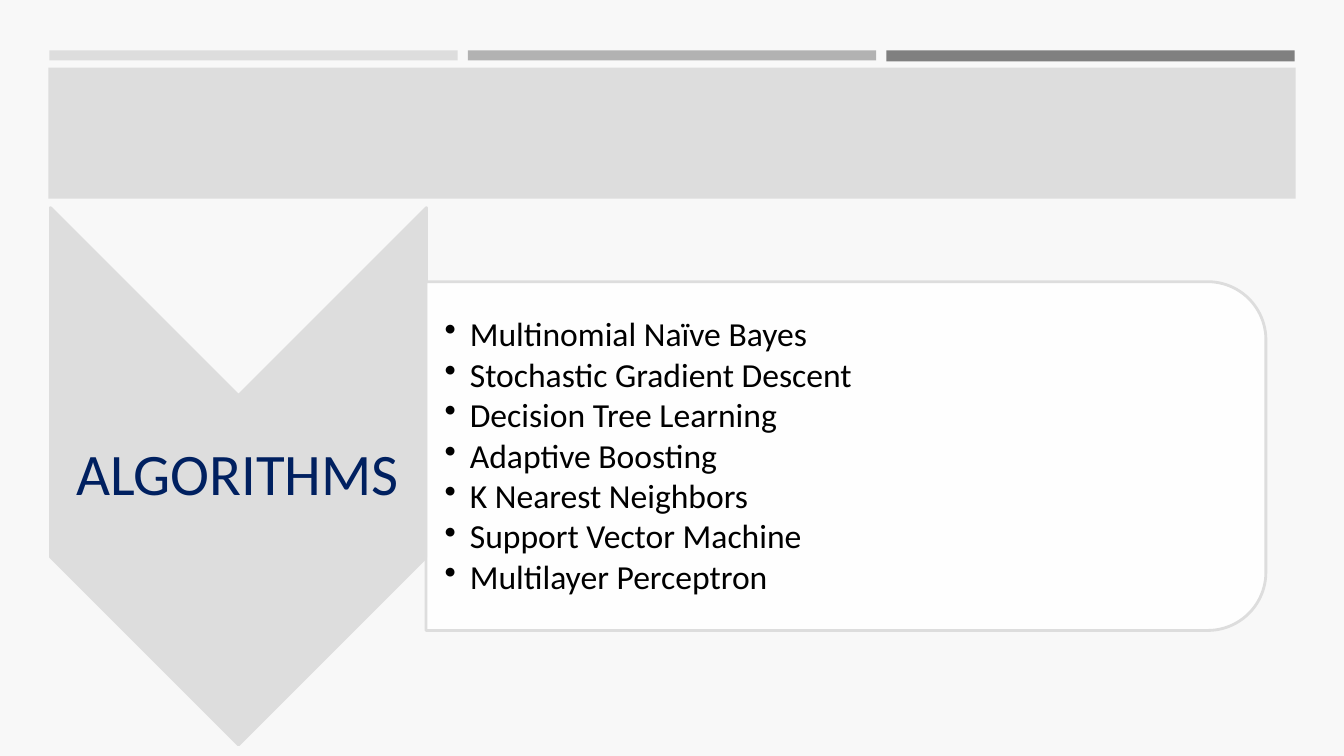
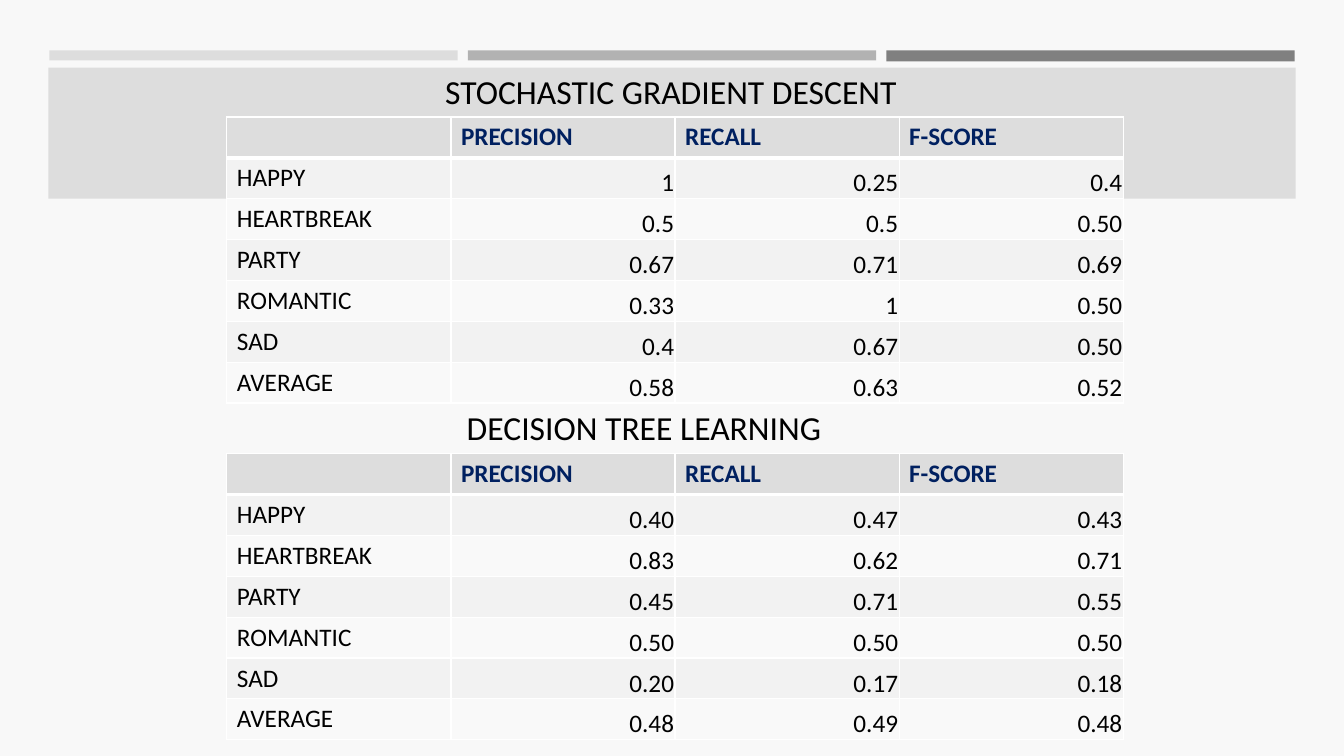
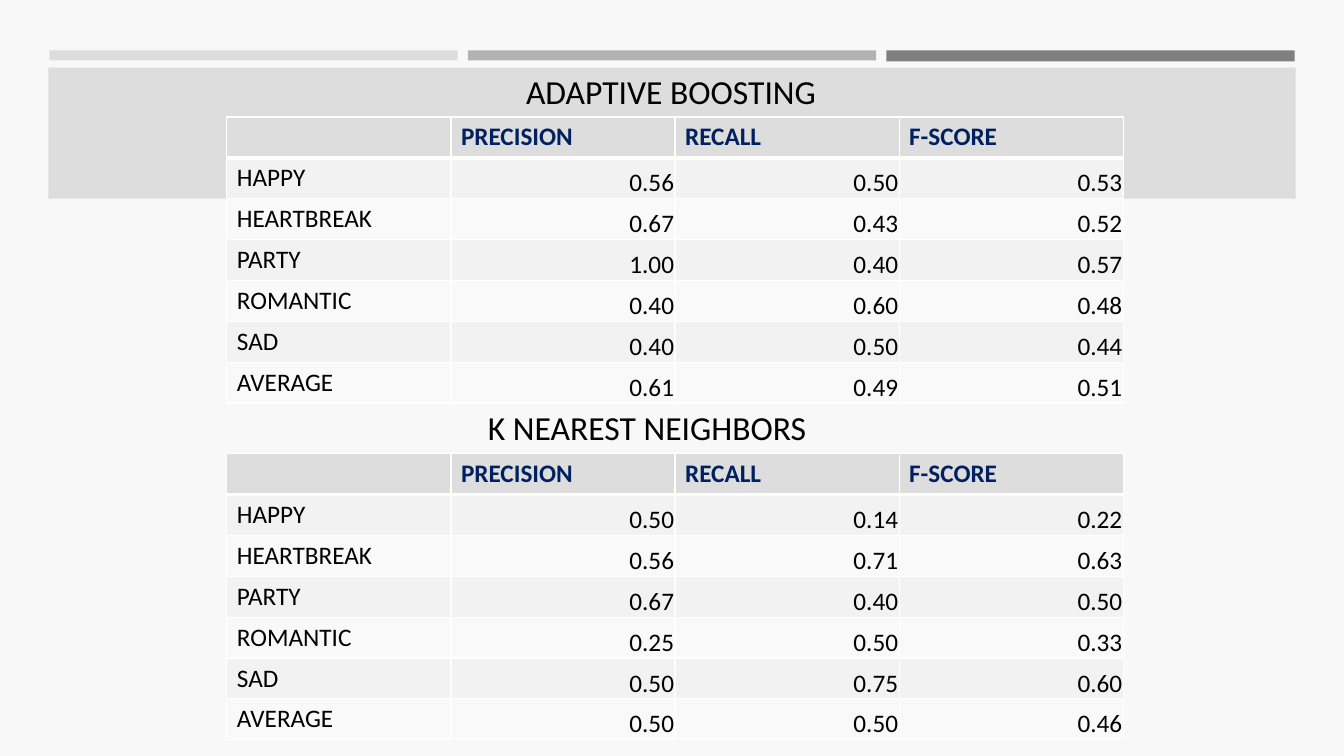
from lxml import etree
from pptx import Presentation
from pptx import util as u
from pptx.dml.color import RGBColor
from pptx.enum import shapes, text
from pptx.oxml import parse_xml
from pptx.oxml.ns import nsdecls, qn

COLORS = {
    "background": "F8F8F8", "light": "DDDDDD", "middle": "B2B2B2", "dark": "808080",
    "navy": "002060", "black": "000000", "white": "FFFFFF", "odd": "F2F2F2", "even": "F9F9F9",
}
FONT = "Calibri"
BANDS = [
    ("light", 0.49, 0.5, 4.05, 0.1),
    ("middle", 4.64, 0.5, 4.05, 0.1),
    ("dark", 8.79, 0.5, 4.05, 0.11),
    ("light", 0.48, 0.67, 12.37, 1.3),
]
ALGORITHMS = [
    "Multinomial Naïve Bayes", "Stochastic Gradient Descent", "Decision Tree Learning",
    "Adaptive Boosting", "K Nearest Neighbors", "Support Vector Machine",
    "Multilayer Perceptron",
]
HEADER = ["", "PRECISION", "RECALL", "F-SCORE"]
MOODS = ["HAPPY", "HEARTBREAK", "PARTY", "ROMANTIC", "SAD", "AVERAGE"]
RESULTS = [
    [
        ("STOCHASTIC GRADIENT DESCENT", 3.9, [
            ("1", "0.25", "0.4"), ("0.5", "0.5", "0.50"), ("0.67", "0.71", "0.69"),
            ("0.33", "1", "0.50"), ("0.4", "0.67", "0.50"), ("0.58", "0.63", "0.52")]),
        ("DECISION TREE LEARNING", 4.53, [
            ("0.40", "0.47", "0.43"), ("0.83", "0.62", "0.71"), ("0.45", "0.71", "0.55"),
            ("0.50", "0.50", "0.50"), ("0.20", "0.17", "0.18"), ("0.48", "0.49", "0.48")]),
    ],
    [
        ("ADAPTIVE BOOSTING", 3.9, [
            ("0.56", "0.50", "0.53"), ("0.67", "0.43", "0.52"), ("1.00", "0.40", "0.57"),
            ("0.40", "0.60", "0.48"), ("0.40", "0.50", "0.44"), ("0.61", "0.49", "0.51")]),
        ("K NEAREST NEIGHBORS", 4.74, [
            ("0.50", "0.14", "0.22"), ("0.56", "0.71", "0.63"), ("0.67", "0.40", "0.50"),
            ("0.25", "0.50", "0.33"), ("0.50", "0.75", "0.60"), ("0.50", "0.50", "0.46")]),
    ],
]
TABLE_LEFT, TABLE_TOPS = 2.25, (1.16, 4.5)
TABLE_WIDTH, TABLE_HEIGHT = 8.89, 2.84


def rgb(name):
    return RGBColor.from_string(COLORS[name])


def inches(*lengths):
    return [u.Inches(length) for length in lengths]


def set_all(target, values):
    for name, value in values.items():
        setattr(target, name, value)


def write(paragraph, words, size, color="black", bold=False, **layout):
    paragraph.text = words
    set_all(paragraph, layout)
    set_all(paragraph.font, {"name": FONT, "size": u.Pt(size), "bold": bold})
    paragraph.font.color.rgb = rgb(color)


def set_frame(frame, anchor, insets=(0.1, 0.05, 0.1, 0.05)):
    sides = ("margin_left", "margin_top", "margin_right", "margin_bottom")
    set_all(frame, dict(zip(sides, inches(*insets))))
    set_all(frame, {"word_wrap": True, "vertical_anchor": anchor,
                    "auto_size": text.MSO_AUTO_SIZE.NONE})


def add_filled(slide, kind, box, fill, line=None, rotation=0):
    shape = slide.shapes.add_shape(kind, *inches(*box))
    shape.shadow.inherit = False
    shape.rotation = rotation
    shape.fill.solid()
    shape.fill.fore_color.rgb = rgb(fill)
    if line:
        shape.line.color.rgb = rgb(line)
        shape.line.width = u.Pt(2)
    else:
        shape.line.fill.background()
    return shape


def place_title(slide, words, box, size, color, anchor, insets, **layout):
    title = slide.shapes.title
    set_all(title, dict(zip(("left", "top", "width", "height"), inches(*box))))
    set_frame(title.text_frame, anchor, insets)
    write(title.text_frame.paragraphs[0], words, size, color,
          alignment=text.PP_ALIGN.CENTER, **layout)
    slide.shapes.element.append(title.element)


def add_bands(slide, layout):
    for number, (color, *box) in enumerate(BANDS, 20):
        band = add_filled(slide, shapes.MSO_SHAPE.RECTANGLE, box, color)
        band.name = f"Band {number}"
        band.element.nvSpPr.cNvPr.set("id", str(number))
        layout.shapes.element.append(band.element)


def add_bullet(paragraph):
    properties = paragraph._p.get_or_add_pPr()
    properties.set("marL", str(u.Inches(0.25)))
    properties.set("indent", str(u.Inches(-0.25)))
    etree.SubElement(properties, qn("a:buChar")).set("char", "•")


def build_algorithms(slide):
    add_filled(slide, shapes.MSO_SHAPE.CHEVRON, (-0.3, 2.86, 5.33, 3.73),
               "light", "light", 90)
    place_title(slide, "ALGORITHMS", (0.49, 3.93, 3.73, 1.6), 42, "navy",
                text.MSO_ANCHOR.MIDDLE, (0.03,) * 4, line_spacing=0.9)
    panel = add_filled(slide, shapes.MSO_SHAPE.ROUND_2_SAME_RECTANGLE,
                       (6.66, 0.36, 3.46, 8.33), "white", "light", 90)
    white = panel.element.spPr.find(qn("a:solidFill"))[0]
    etree.SubElement(white, qn("a:alpha")).set("val", "90000")
    frame = slide.shapes.add_textbox(*inches(4.22, 2.97, 8.16, 3.13)).text_frame
    set_frame(frame, text.MSO_ANCHOR.MIDDLE, (0.19, 0.02, 0.02, 0.02))
    for index, algorithm in enumerate(ALGORITHMS):
        paragraph = frame.add_paragraph() if index else frame.paragraphs[0]
        write(paragraph, algorithm, 24, line_spacing=0.9, space_after=u.Pt(3))
        add_bullet(paragraph)


def style_cell(cell, fill, widths):
    properties = cell._tc.get_or_add_tcPr()
    for side, width in zip("LRTB", widths):
        properties.append(parse_xml(
            f'<a:ln{side} {nsdecls("a")} w="{u.Pt(width)}"><a:solidFill>'
            f'<a:srgbClr val="{COLORS["white"]}"/></a:solidFill></a:ln{side}>'))
    cell.fill.solid()
    cell.fill.fore_color.rgb = rgb(fill)


def add_scores(slide, top, scores):
    rows = [HEADER] + [(mood, *values) for mood, values in zip(MOODS, scores)]
    table = slide.shapes.add_table(
        len(rows), len(HEADER),
        *inches(TABLE_LEFT, top, TABLE_WIDTH, TABLE_HEIGHT)).table
    set_all(table, {"first_row": False, "horz_banding": False})
    for r, row in enumerate(rows):
        fill = "light" if r == 0 else "odd" if r % 2 else "even"
        widths = (1, 1, 3 if r == 1 else 1, 3 if r == 0 else 1)
        for c, words in enumerate(row):
            cell = table.cell(r, c)
            style_cell(cell, fill, widths)
            paragraph = cell.text_frame.paragraphs[0]
            if r == 0:
                write(paragraph, words, 18, "navy", True)
            elif c == 0:
                write(paragraph, words, 18)
            else:
                write(paragraph, words, 18, alignment=text.PP_ALIGN.RIGHT)
                edge = u.Inches(0.01)
                set_all(cell, {"margin_left": edge, "margin_right": edge, "margin_top": edge,
                               "margin_bottom": 0, "vertical_anchor": text.MSO_ANCHOR.BOTTOM})


def build_results(slide, results):
    (title, title_left, _), (heading, heading_left, _) = results
    place_title(slide, title, (title_left, 0.65, 5.51, 0.5), 24, "black",
                text.MSO_ANCHOR.TOP, (0.1, 0.05, 0.1, 0.05))
    for top, (_, _, scores) in zip(TABLE_TOPS, results):
        add_scores(slide, top, scores)
    frame = slide.shapes.add_textbox(*inches(heading_left, 3.99, 4.32, 0.5)).text_frame
    set_frame(frame, text.MSO_ANCHOR.TOP)
    write(frame.paragraphs[0], heading, 24)


def main():
    presentation = Presentation()
    presentation.slide_width, presentation.slide_height = inches(13.33, 7.5)
    background = presentation.slide_master.background.fill
    background.solid()
    background.fore_color.rgb = rgb("background")
    layout = presentation.slide_layouts[5]
    slide = presentation.slides.add_slide(layout)
    add_bands(slide, layout)
    build_algorithms(slide)
    for results in RESULTS:
        build_results(presentation.slides.add_slide(layout), results)
    presentation.save("out.pptx")


if __name__ == "__main__":
    main()
